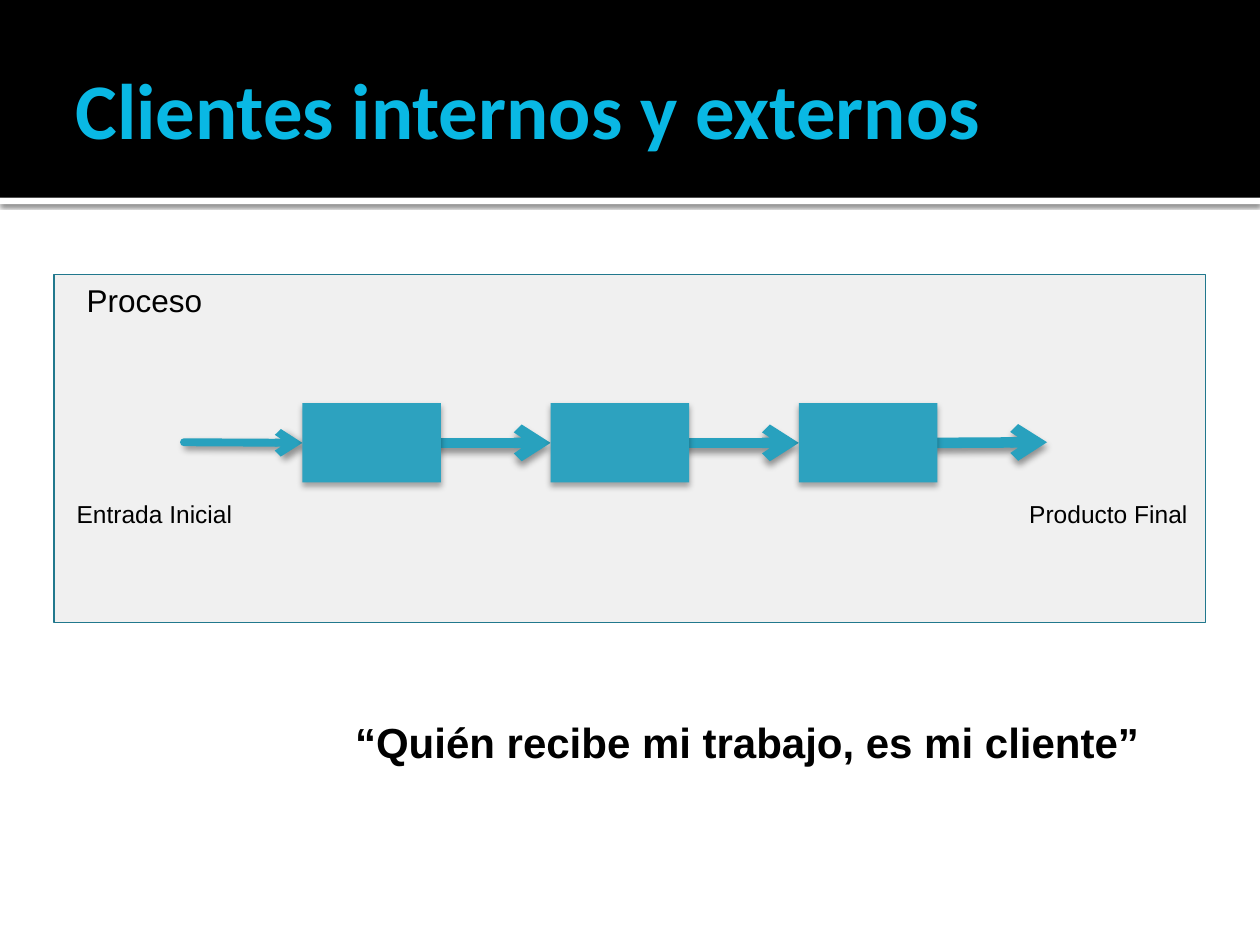
from typing import NamedTuple, Optional

from lxml import etree
from pptx import Presentation
from pptx import util as u
from pptx.dml.color import RGBColor
from pptx.enum import shapes, text
from pptx.oxml.ns import qn

PX = u.Inches(1) // 100
BOX_LEFT, BOX_TOP, BOX_WIDTH, BOX_HEIGHT, BOX_STEP = 240, 320, 110, 63, 197
BOX_COUNT = 3
FLOW_Y = BOX_TOP + BOX_HEIGHT // 2
FLOW_START = 146


class Shadow(NamedTuple):
    opacity: int
    blur: float
    distance: float
    angle: int


class Block(NamedTuple):
    left: int
    top: int
    width: int
    height: int
    fill: str
    outline: Optional[str] = None
    shadow: Optional[Shadow] = None


class Label(NamedTuple):
    left: int
    top: int
    width: int
    height: int
    words: str
    size: int
    bold: bool = False
    font: str = "Arial"
    color: str = "000000"
    frame: dict = {}


class Arrow(NamedTuple):
    start: int
    end: int
    weight: float
    shadow: Shadow


def rgb(value: str) -> RGBColor:
    return RGBColor.from_string(value)


def fill_effects(effects, shadow: Shadow) -> None:
    outer = etree.SubElement(
        effects, qn("a:outerShdw"),
        blurRad=str(u.Pt(shadow.blur)), dist=str(u.Pt(shadow.distance)),
        dir=str(shadow.angle * 60000), rotWithShape="0",
    )
    color = etree.SubElement(outer, qn("a:srgbClr"), val="000000")
    etree.SubElement(color, qn("a:alpha"), val=str(shadow.opacity * 1000))


def draw_block(slide, block: Block):
    shape = slide.shapes.add_shape(
        shapes.MSO_SHAPE.RECTANGLE, *(n * PX for n in block[:4]))
    shape.shadow.inherit = False
    shape.fill.solid()
    shape.fill.fore_color.rgb = rgb(block.fill)
    if block.outline:
        shape.line.color.rgb = rgb(block.outline)
        shape.line.width = u.Pt(0.75)
    else:
        shape.line.fill.background()
    if block.shadow:
        fill_effects(shape.element.spPr.find(qn("a:effectLst")), block.shadow)
    return shape


def draw_arrow(slide, arrow: Arrow):
    connector = slide.shapes.add_connector(
        shapes.MSO_CONNECTOR.STRAIGHT,
        arrow.start * PX, FLOW_Y * PX, arrow.end * PX, FLOW_Y * PX)
    connector.line.color.rgb = rgb("28A1BE")
    connector.line.width = u.Pt(arrow.weight)
    properties = connector.element.spPr
    stroke = properties.find(qn("a:ln"))
    stroke.set("cap", "rnd")
    etree.SubElement(stroke, qn("a:tailEnd"), type="arrow")
    fill_effects(etree.SubElement(properties, qn("a:effectLst")), arrow.shadow)
    return connector


def draw_label(slide, label: Label) -> None:
    frame = slide.shapes.add_textbox(*(n * PX for n in label[:4])).text_frame
    settings = {"word_wrap": True, "auto_size": text.MSO_AUTO_SIZE.SHAPE_TO_FIT_TEXT}
    for name, value in (settings | label.frame).items():
        setattr(frame, name, value)
    run = frame.paragraphs[0].add_run()
    run.text = label.words
    font_format = {"name": label.font, "size": u.Pt(label.size), "bold": label.bold}
    for name, value in font_format.items():
        setattr(run.font, name, value)
    run.font.color.rgb = rgb(label.color)


def main() -> None:
    deck = Presentation()
    deck.slide_width, deck.slide_height = 1000 * PX, 750 * PX
    slide = deck.slides.add_slide(deck.slide_layouts[6])

    for block in (
        Block(0, 157, 1000, 5, "FFFFFF", shadow=Shadow(60, 2.5, 0.8, 90)),
        Block(0, 0, 1000, 157, "000000"),
        Block(43, 218, 914, 276, "F0F0F0", outline="21788D"),
    ):
        draw_block(slide, block)

    box_lefts = [BOX_LEFT + i * BOX_STEP for i in range(BOX_COUNT)]
    entry = draw_arrow(slide, Arrow(FLOW_START, BOX_LEFT, 4.5, Shadow(40, 4, 3, 45)))
    exits = [
        draw_arrow(slide, Arrow(left + BOX_WIDTH, left + BOX_STEP, 6, Shadow(40, 4, 3, 90)))
        for left in box_lefts
    ]
    steps = [
        draw_block(slide, Block(left, BOX_TOP, BOX_WIDTH, BOX_HEIGHT, "2DA2BF",
                                shadow=Shadow(32, 3.5, 2.2, 90)))
        for left in box_lefts
    ]
    for incoming, step, outgoing in zip([entry, *exits], steps, exits):
        incoming.end_connect(step, 1)
        outgoing.begin_connect(step, 3)

    title_frame = {
        "auto_size": text.MSO_AUTO_SIZE.NONE,
        "vertical_anchor": text.MSO_ANCHOR.MIDDLE,
        "margin_right": 5 * PX,
    }
    for label in (
        Label(50, 17, 900, 137, "Clientes internos y externos", 45, True,
              "Calibri", "09B8E4", title_frame),
        Label(59, 218, 307, 40, "Proceso", 18),
        Label(807, 391, 189, 34, "Producto Final", 14),
        Label(51, 391, 189, 34, "Entrada Inicial", 14),
        Label(272, 564, 780, 50, "“Quién recibe mi trabajo, es mi cliente”", 24, True),
    ):
        draw_label(slide, label)

    deck.save("out.pptx")


if __name__ == "__main__":
    main()
